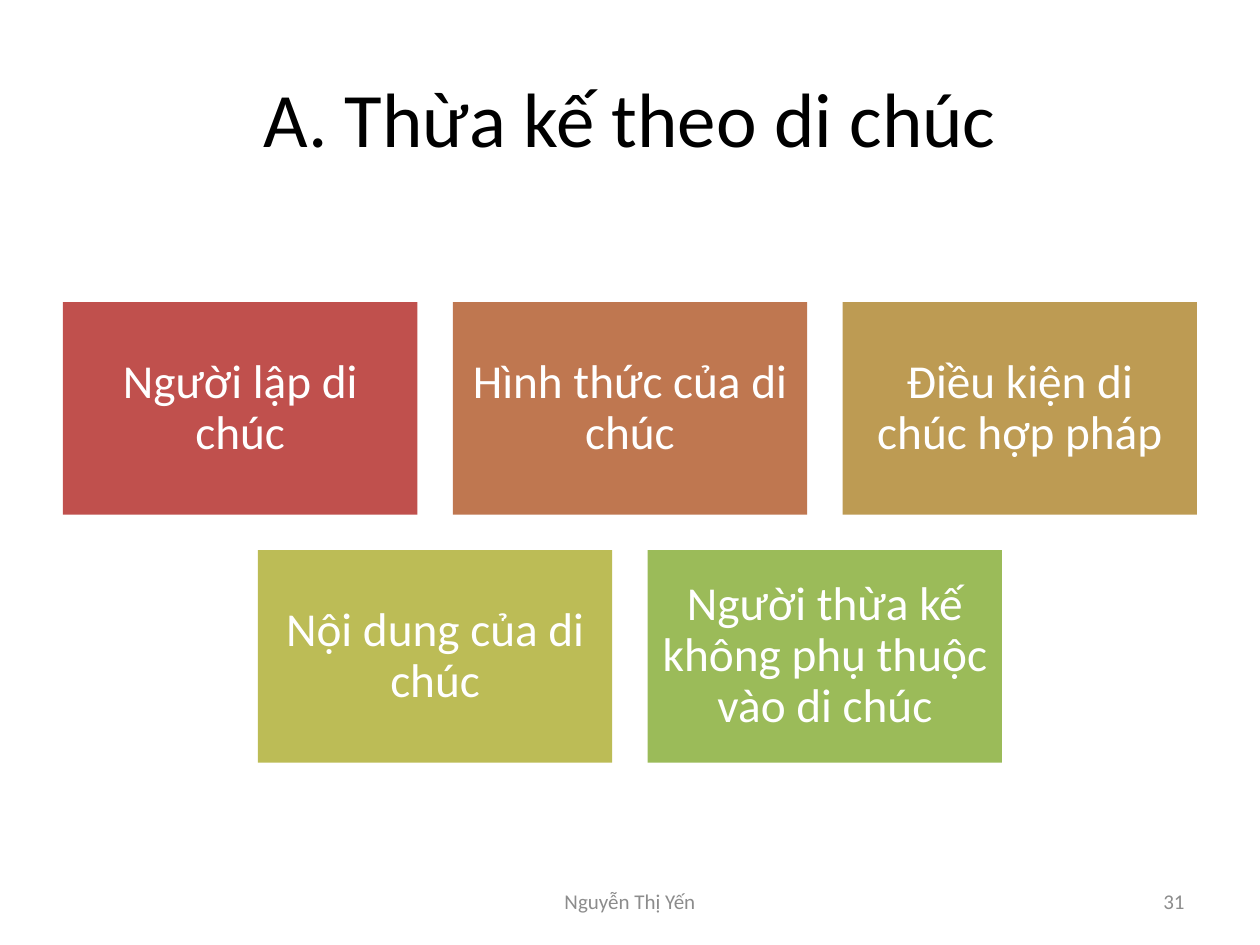
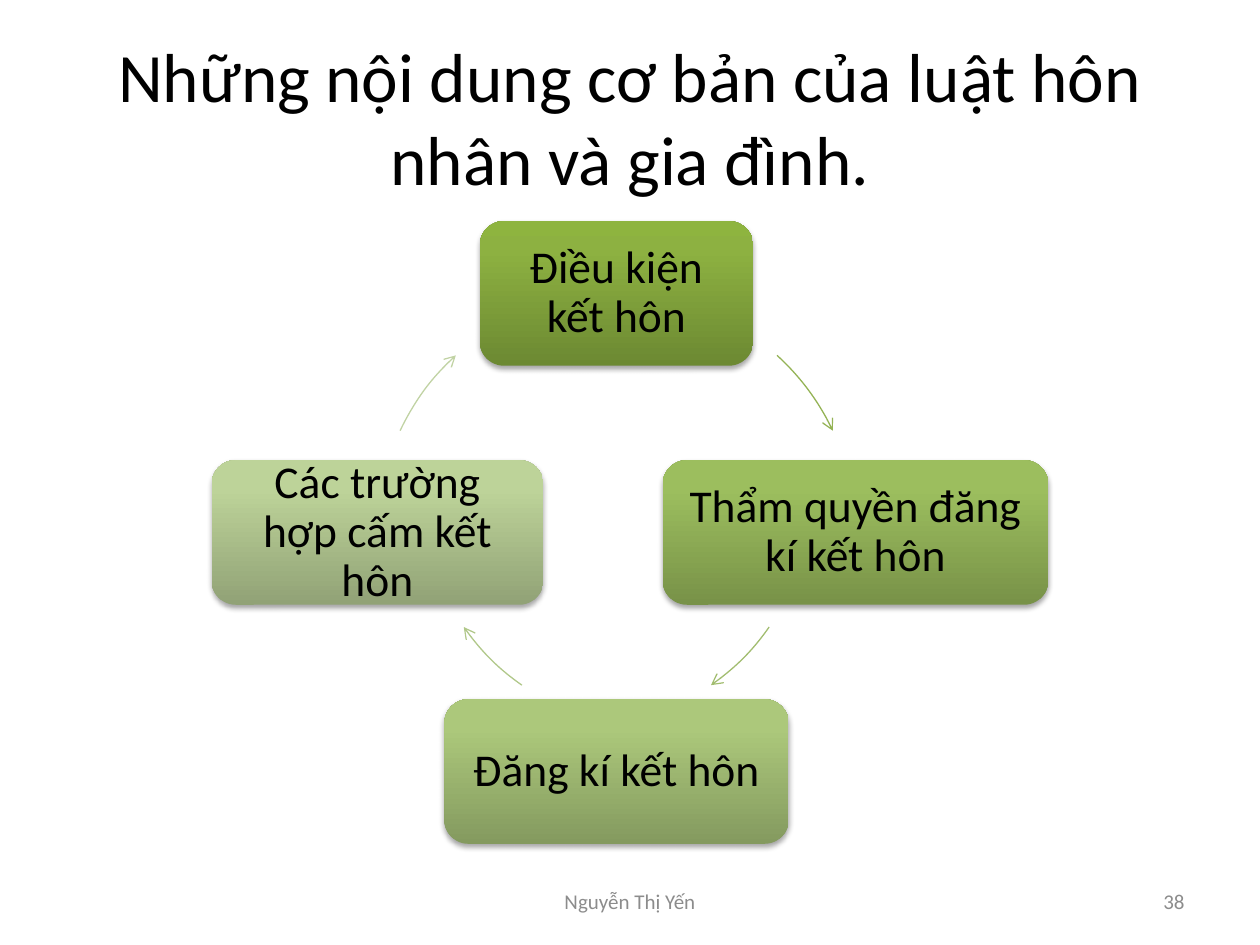
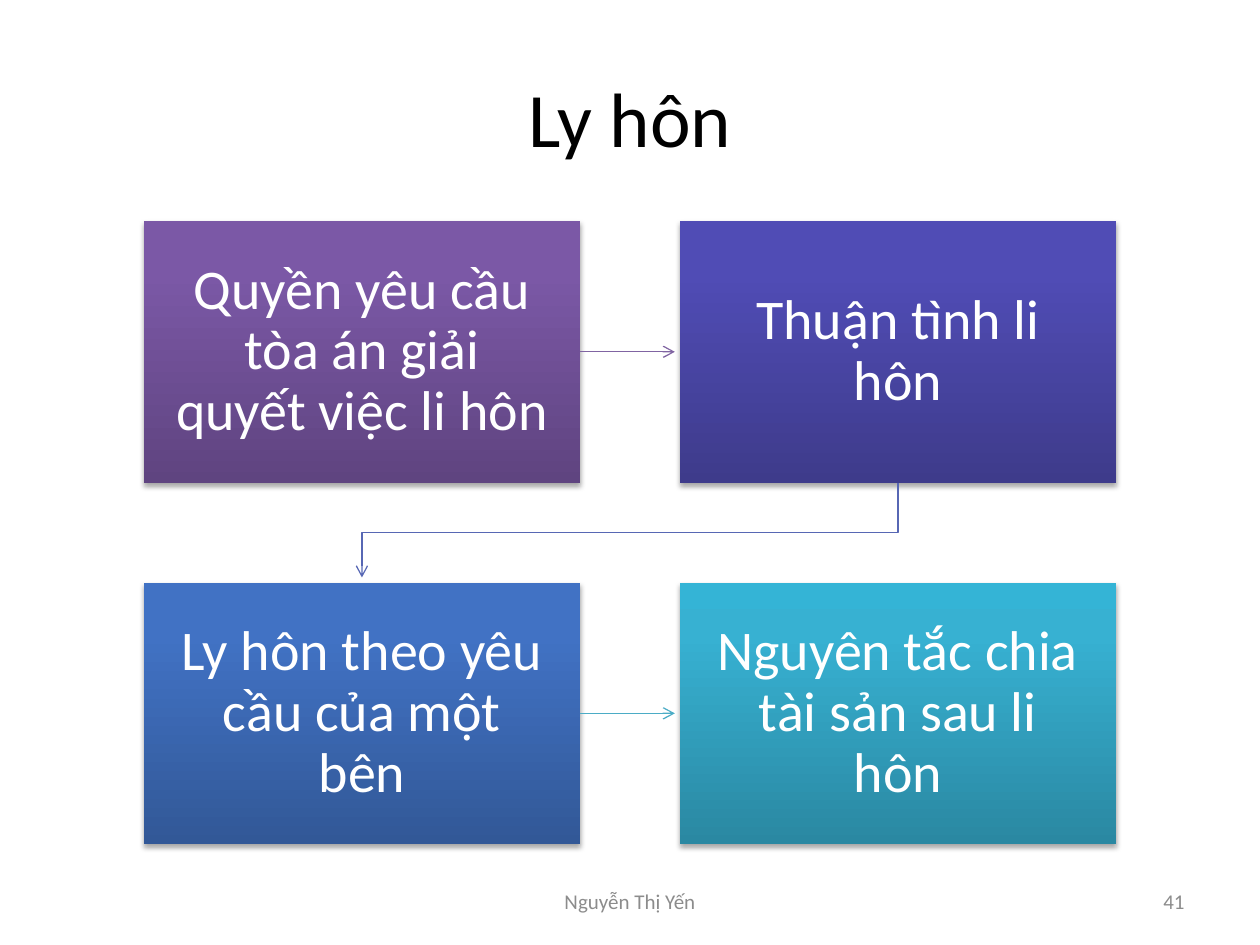
from copy import deepcopy
from dataclasses import dataclass
from math import cos, radians, sin

from lxml import etree
from pptx import Presentation
from pptx import util as u
from pptx.dml.color import RGBColor
from pptx.enum import shapes, text
from pptx.oxml.ns import qn

Pt = u.Pt
KIND = shapes.MSO_SHAPE
ALIGN = text.PP_ALIGN


@dataclass(frozen=True)
class Theme:
    font: str = "Calibri"
    ink: str = "000000"
    pale: str = "FFFFFF"
    muted: str = "8C8C8C"
    title: float = 44
    small: float = 39.6
    foot: float = 12
    tile: float = 27
    node: float = 26
    step: float = 32
    line: float = 0.75
    tiles: tuple = ("C0504D", "BF7750", "BD9B53", "BCBC56", "9BBB59")
    greens: tuple = (("6C8932", "8DB141", "8EB43F"), ("789248", "9CBE5E", "9EC05C"),
                     ("849A5F", "ACC87B", "ADCB7B"), ("91A276", "BDD399", "BED599"))
    arcs: tuple = ("94B355", "A2BD70", "B1C88A", "C1D3A4")
    steps: tuple = (("5F4480", "7B58A6", "7C57A8"), ("3E3B8B", "504CB5", "4F4BB8"),
                    ("325897", "4172C4", "3F72C7"), ("2A88A2", "37B1D2", "34B4D6"))
    links: tuple = ("8064A2", "5767B4", "4BACC6")


T = Theme()
AUTHOR = "Nguyễn Thị Yến"


def rgb(code):
    return RGBColor.from_string(code)


def write(shape, words, size, color, align=ALIGN.CENTER, pad=None, space=None):
    frame = shape.text_frame
    frame.word_wrap = True
    frame.vertical_anchor = text.MSO_ANCHOR.MIDDLE
    if pad is not None:
        frame.margin_left = frame.margin_right = Pt(pad)
        frame.margin_top = frame.margin_bottom = Pt(pad)
    frame.text = words
    para = frame.paragraphs[0]
    para.alignment = align
    if space:
        para.line_spacing = space
    font = para.runs[0].font
    font.name, font.size = T.font, Pt(size)
    font.color.rgb = rgb(color)


def label(slide, box, words, size, color, align=ALIGN.CENTER):
    write(slide.shapes.add_textbox(*map(Pt, box)), words, size, color, align)


def page(deck, title, number, size=T.title):
    slide = deck.slides.add_slide(deck.slide_layouts[6])
    label(slide, (36, 21.6, 648, 90), title, size, T.ink)
    label(slide, (246, 500.5, 228, 28.75), AUTHOR, T.foot, T.muted)
    label(slide, (516, 500.5, 168, 28.75), str(number), T.foot, T.muted, ALIGN.RIGHT)
    return slide


def blend(shape, colors):
    fill = shape.fill
    fill.gradient()
    fill.gradient_angle = 90
    stops = shape._element.spPr.find(".//" + qn("a:gsLst"))
    stops.append(deepcopy(stops[-1]))
    for stop, place, color in zip(fill.gradient_stops, (0, 0.8, 1), colors):
        stop.position = place
        stop.color.rgb = rgb(color)


def shade(shape):
    effects = shape._element.spPr.find(qn("a:effectLst"))
    cast = etree.SubElement(effects, qn("a:outerShdw"), blurRad=str(Pt(3.1)),
                            dist=str(Pt(1.8)), dir="5400000", rotWithShape="0")
    black = etree.SubElement(cast, qn("a:srgbClr"), val=T.ink)
    etree.SubElement(black, qn("a:alpha"), val="35000")


def block(slide, box, words, paint, size, color, pad, kind=KIND.RECTANGLE):
    shape = slide.shapes.add_shape(kind, *map(Pt, box))
    shape.shadow.inherit = False
    shape.line.fill.background()
    if isinstance(paint, str):
        shape.fill.solid()
        shape.fill.fore_color.rgb = rgb(paint)
    else:
        blend(shape, paint)
        shade(shape)
    write(shape, words, size, color, pad=pad, space=0.9)
    return shape


def arrow(shape, color):
    shape.line.color.rgb = rgb(color)
    shape.line.width = Pt(T.line)
    props = shape._element.spPr
    etree.SubElement(props.find(qn("a:ln")), qn("a:tailEnd"), type="arrow")
    if props.find(qn("a:effectLst")) is None:
        etree.SubElement(props, qn("a:effectLst"))


def arc(slide, mid, radius, span, color):
    box = (mid[0] - radius, mid[1] - radius, 2 * radius, 2 * radius)
    shape = slide.shapes.add_shape(KIND.ARC, *map(Pt, box))
    shape.shadow.inherit = False
    shape.fill.background()
    for index, angle in enumerate(span):
        shape.adjustments[index] = angle * 0.6
    arrow(shape, color)


def link(slide, start, end, color):
    line = slide.shapes.add_connector(
        shapes.MSO_CONNECTOR.STRAIGHT, start.left + start.width,
        start.top + start.height // 2, end.left - Pt(2.9), end.top + end.height // 2)
    line.begin_connect(start, 3)
    arrow(line, color)


def bend(slide, start, end, color):
    left, right = (box.left + box.width // 2 for box in (end, start))
    top, low = start.top + start.height, end.top - Pt(2.9)
    turn = (top + end.top) // 2
    draw = slide.shapes.build_freeform(right, top)
    draw.add_line_segments([(right, turn), (left, turn), (left, low)], close=False)
    shape = draw.convert_to_shape()
    shape.shadow.inherit = False
    shape.fill.background()
    arrow(shape, color)


def grid(rows, wide, high, gap, top):
    for row, count in enumerate(rows):
        left = 360 - (count * (wide + gap) - gap) / 2
        for col in range(count):
            yield left + col * (wide + gap), top + row * (high + gap), wide, high


def will(deck):
    slide = page(deck, "A. Thừa kế theo di chúc", 31)
    topics = ("Người lập di chúc", "Hình thức của di chúc", "Điều kiện di chúc hợp pháp",
              "Nội dung của di chúc", "Người thừa kế không phụ thuộc vào di chúc")
    cells = grid((3, 2), 202.5, 121.5, 20.25, 172.6)
    for box, words, color in zip(cells, topics, T.tiles):
        block(slide, box, words, color, T.tile, T.pale, 8.1)


def marry(deck):
    slide = page(deck, "Những nội dung cơ bản của luật hôn nhân và gia đình.", 38, T.small)
    x, y, radius, high, shift = 352.3, 304.3, 136.6, 82.6, 24.5
    nodes = (("Điều kiện kết hôn", 156.2), ("Thẩm quyền đăng kí kết hôn", 220.3),
             ("Đăng kí kết hôn", 196.8), ("Các trường hợp cấm kết hôn", 189.6))
    for index, ((words, wide), paint) in enumerate(zip(nodes, T.greens)):
        turn = radians(90 * index - 90)
        box = (x + radius * cos(turn) - wide / 2, y + radius * sin(turn) - high / 2, wide, high)
        block(slide, box, words, paint, T.node, T.ink, 8, KIND.ROUNDED_RECTANGLE)
    upper, lower = (312.2, 334.8), (35.1, 54.9)
    mirror = lambda span: tuple((180 - angle) % 360 for angle in reversed(span))
    rings = (((x, y), upper), ((x - shift, y - shift), lower),
             ((x + shift, y - shift), mirror(lower)), ((x, y), mirror(upper)))
    for (mid, span), color in zip(rings, T.arcs):
        arc(slide, mid, radius, span, color)


def split(deck):
    slide = page(deck, "Ly hôn", 41)
    topics = ("Quyền yêu cầu tòa án giải quyết việc li hôn", "Thuận tình li hôn",
              "Ly hôn theo yêu cầu của một bên", "Nguyên tắc chia tài sản sau li hôn")
    cells = grid((2, 2), 249.2, 149.5, 57.1, 126.3)
    steps = [block(slide, box, words, paint, T.step, T.pale, 17.9)
             for box, words, paint in zip(cells, topics, T.steps)]
    for join, start, end, color in zip((link, bend, link), steps, steps[1:], T.links):
        join(slide, start, end, color)


def main():
    deck = Presentation()
    deck.slide_width, deck.slide_height = Pt(720), Pt(540)
    will(deck)
    marry(deck)
    split(deck)
    deck.save("out.pptx")


if __name__ == "__main__":
    main()
